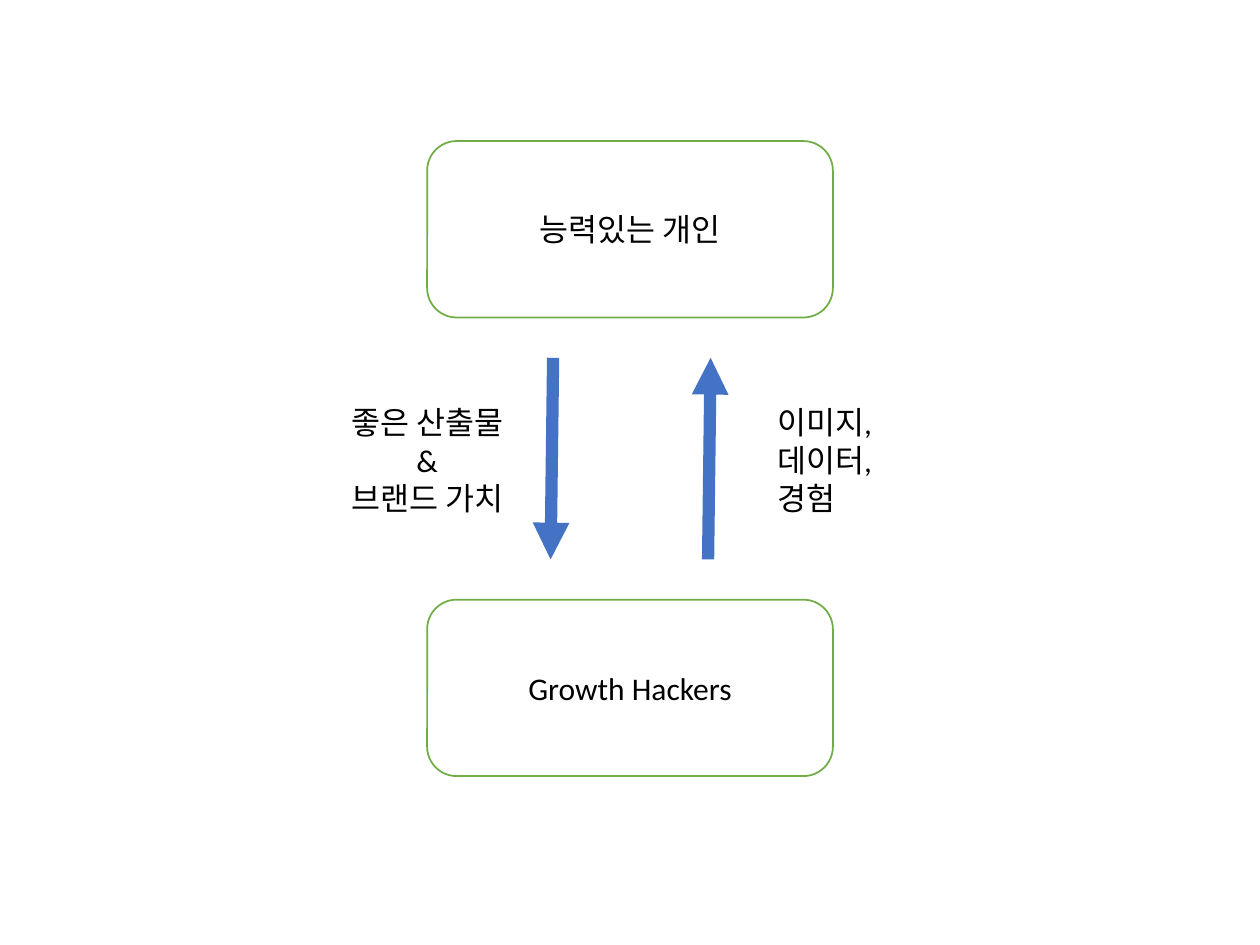
from lxml import etree
from pptx import Presentation
from pptx.dml.color import RGBColor
from pptx.enum.shapes import MSO_CONNECTOR, MSO_SHAPE
from pptx.enum.text import MSO_ANCHOR, MSO_AUTO_SIZE, PP_ALIGN
from pptx.oxml.ns import qn
from pptx.util import Inches, Pt

ROUNDED = MSO_SHAPE.ROUNDED_RECTANGLE
STRAIGHT = MSO_CONNECTOR.STRAIGHT
MIDDLE, TOP = MSO_ANCHOR.MIDDLE, MSO_ANCHOR.TOP
LEFT, CENTER = PP_ALIGN.LEFT, PP_ALIGN.CENTER
COLORS = {"paper": "FFFFFF", "border": "70AD47", "arrow": "4472C4", "text": "000000"}

SLIDE_W, SLIDE_H = 10, 7.5
PARTY_W, PARTY_H = 3.22, 1.4
PARTY_LEFT = (SLIDE_W - PARTY_W) / 2
PARTY_TOP, PARTY_STEP = 1.12, 3.64
FLOW_TOP, FLOW_BOTTOM = 2.84, 4.44
LABEL_TOP, LABEL_H = 3.15, 1.01


def color(name):
    """Return the named colour of the palette."""
    return RGBColor.from_string(COLORS[name])


def write(frame, lines, align=LEFT, anchor=TOP, size=18, font="Calibri"):
    """Fill a text frame with one formatted paragraph per line."""
    frame.vertical_anchor = anchor
    frame.text = "\n".join(lines)
    for paragraph in frame.paragraphs:
        paragraph.alignment = align
        paragraph.font.size = Pt(size)
        paragraph.font.name = font
        paragraph.font.color.rgb = color("text")


deck = Presentation()
deck.slide_width, deck.slide_height = Inches(SLIDE_W), Inches(SLIDE_H)
slide = deck.slides.add_slide(deck.slide_layouts[6])

# The two parties
for row, party_name in enumerate(["능력있는 개인", "Growth Hackers"]):
    party = slide.shapes.add_shape(
        ROUNDED, Inches(PARTY_LEFT), Inches(PARTY_TOP + row * PARTY_STEP),
        Inches(PARTY_W), Inches(PARTY_H))
    party.shadow.inherit = False
    party.fill.solid()
    party.fill.fore_color.rgb = color("paper")
    party.line.color.rgb = color("border")
    party.line.width = Pt(1)
    write(party.text_frame, [party_name], align=CENTER, anchor=MIDDLE)

# What flows down and what flows back up
flows = [(4.39, FLOW_TOP, 4.37, FLOW_BOTTOM), (5.62, FLOW_BOTTOM, 5.64, FLOW_TOP)]
for ends in flows:
    flow = slide.shapes.add_connector(STRAIGHT, *[Inches(end) for end in ends])
    flow.line.color.rgb = color("arrow")
    flow.line.width = Pt(7)
    etree.SubElement(flow.line._get_or_add_ln(), qn("a:tailEnd"), type="triangle")
    etree.SubElement(flow._element.spPr, qn("a:effectLst"))

# What each flow carries
labels = [
    (2.63, 1.52, CENTER, ["좋은 산출물", "&", "브랜드 가치"]),
    (6.07, 1.08, LEFT, ["이미지,", "데이터,", "경험"]),
]
for left, width, align, lines in labels:
    label = slide.shapes.add_textbox(
        Inches(left), Inches(LABEL_TOP), Inches(width), Inches(LABEL_H))
    label.text_frame.word_wrap = False
    label.text_frame.auto_size = MSO_AUTO_SIZE.SHAPE_TO_FIT_TEXT
    write(label.text_frame, lines, align=align)

deck.save("out.pptx")
